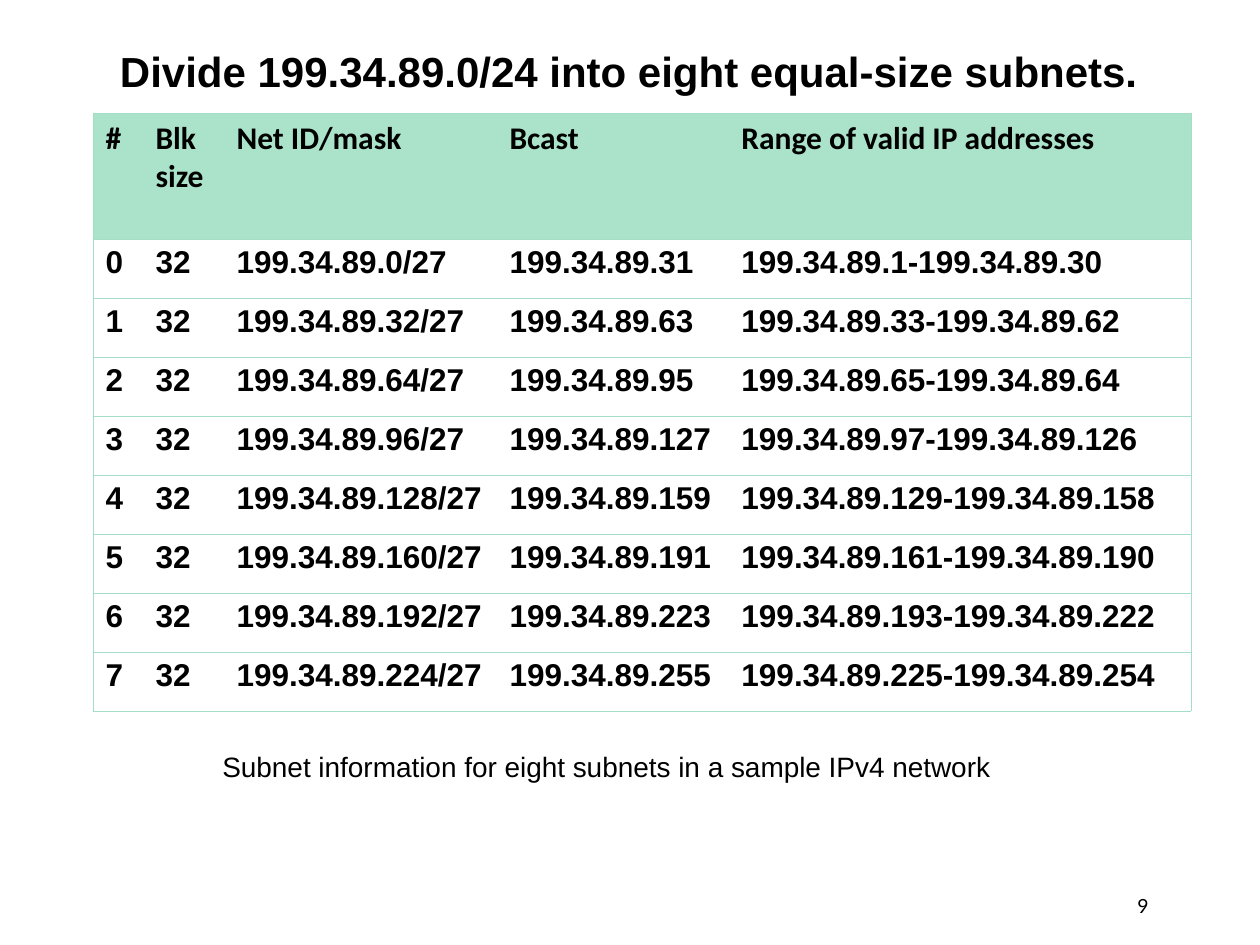
from lxml import etree
from pptx import Presentation, util as u
from pptx.dml.color import RGBColor
from pptx.enum import text as tx
from pptx.oxml import ns

BLACK = RGBColor(0, 0, 0)
MINT = RGBColor(0xAA, 0xE2, 0xCA)
EDGE = RGBColor(0xA5, 0xDE, 0xC6)
PLAIN = "{2D5ABB26-0587-4C30-8999-92F81FD0307C}"
NET = "199.34.89."
BLOCK = 32
HEADS = ["#", "Blk\nsize", "Net ID/mask", "Bcast", "Range of valid IP addresses"]
COLS = [50, 81, 273, 232, 462]
HEAD, ROW = 126, 59
ENDS = {2: 64}


def px(n):
    """Turn pixels into EMU."""
    return u.Emu(round(n * 914400 / 126))


def write(frame, words, name, size, bold=False, **form):
    """Fill a text frame and style each paragraph."""
    frame.text = words
    font = {"name": name, "size": u.Pt(size), "bold": bold}
    for par in frame.paragraphs:
        for key, val in form.items():
            setattr(par, key, val)
        for key, val in font.items():
            setattr(par.font, key, val)
        par.font.color.rgb = BLACK


def rule(cell, sides):
    """Draw thin border lines on the given sides of a cell."""
    props = cell._tc.get_or_add_tcPr()
    for side in sides:
        line = etree.SubElement(props, ns.qn("a:ln" + side), w=str(u.Pt(0.34)))
        fill = etree.SubElement(line, ns.qn("a:solidFill"))
        etree.SubElement(fill, ns.qn("a:srgbClr"), val=str(EDGE))


def subnet(n):
    """Return the table row of one subnet."""
    low = n * BLOCK
    high = low + BLOCK - 1
    end = ENDS.get(n, high - 1)
    return [str(n), str(BLOCK), f"{NET}{low}/27", f"{NET}{high}",
            f"{NET}{low + 1}-{NET}{end}"]


def title(slide, box, words):
    """Place the title placeholder in its box."""
    shape = slide.shapes.title
    for key, val in zip(("left", "top", "width", "height"), box):
        setattr(shape, key, px(val))
    form = {"word_wrap": True, "auto_size": tx.MSO_AUTO_SIZE.NONE,
            "vertical_anchor": tx.MSO_ANCHOR.TOP, "margin_left": px(76)}
    for key, val in form.items():
        setattr(shape.text_frame, key, val)
    write(shape.text_frame, words, "Arial", 24, True, alignment=tx.PP_ALIGN.LEFT)


def grid(slide, box, rows):
    """Place the subnet table with a tinted head row."""
    table = slide.shapes.add_table(len(rows), len(COLS), *map(px, box)).table
    table._tbl.tblPr.find(ns.qn("a:tableStyleId")).text = PLAIN
    table.first_row = table.horz_banding = False
    for col, wide in zip(table.columns, COLS):
        col.width = px(wide)
    for r, row in enumerate(rows):
        table.rows[r].height = px(ROW if r else HEAD)
        for c, words in enumerate(row):
            cell = table.cell(r, c)
            write(cell.text_frame, words, "Arial" if r else "Calibri", 18, True)
            outer = {0: "L", len(COLS) - 1: "R"}.get(c, "")
            rule(cell, outer + "TB")
            if r:
                cell.fill.background()
            else:
                cell.fill.solid()
                cell.fill.fore_color.rgb = MINT


def label(slide, box, words, name, size, wrap=True, **form):
    """Place a text box with one line of words."""
    frame = slide.shapes.add_textbox(*map(px, box)).text_frame
    frame.word_wrap = wrap
    write(frame, words, name, size, **form)


def main():
    """Build the slide and save it."""
    deck = Presentation()
    deck.slide_width, deck.slide_height = px(1260), px(945)
    slide = deck.slides.add_slide(deck.slide_layouts[5])
    title(slide, (44, 39, 1128, 63),
          "Divide 199.34.89.0/24 into eight equal-size subnets.")
    rows = [HEADS] + [subnet(n) for n in range(8)]
    grid(slide, (93, 113, sum(COLS), HEAD + 8 * ROW), rows)
    label(slide, (210, 743, 794, 47),
          "Subnet information for eight subnets in a sample IPv4 network",
          "Arial", 16, wrap=False)
    label(slide, (762, 891, 399, 39), "9", "Lato", 11.1,
          alignment=tx.PP_ALIGN.RIGHT, line_spacing=0.9)
    deck.save("out.pptx")


if __name__ == "__main__":
    main()
